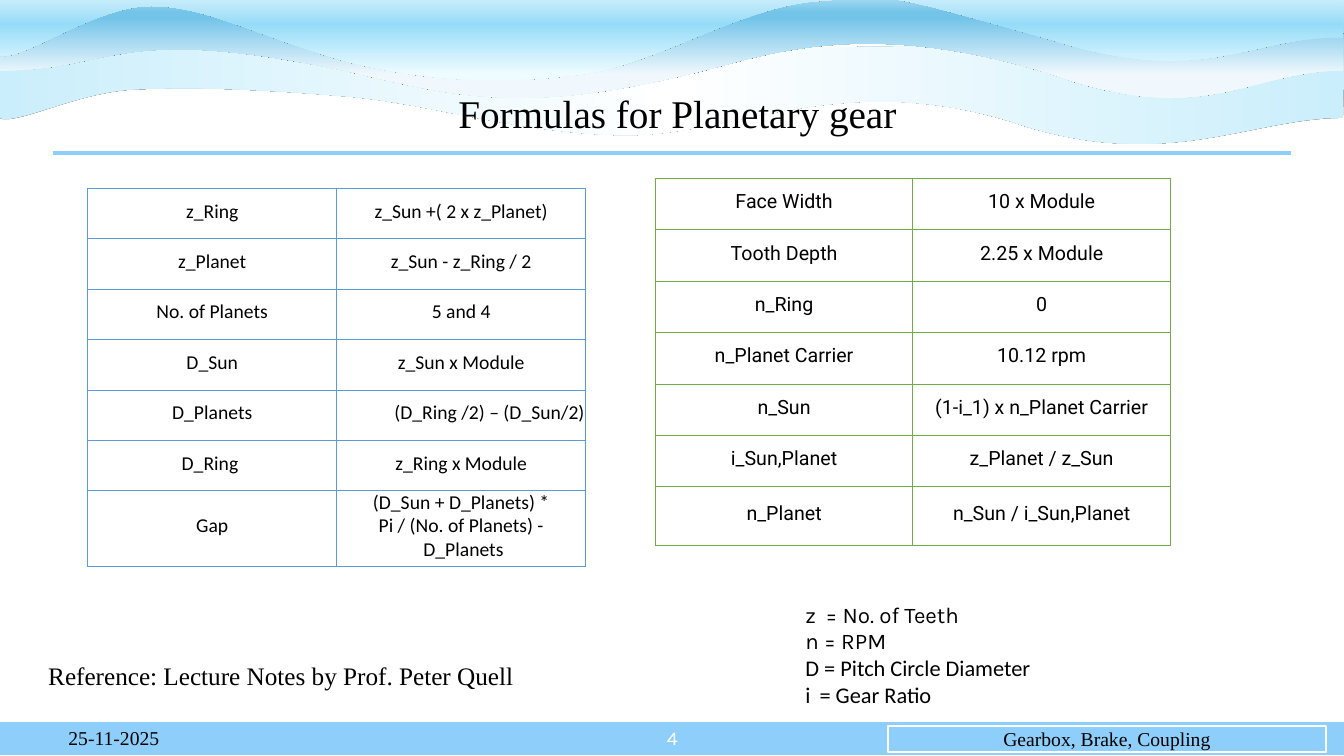
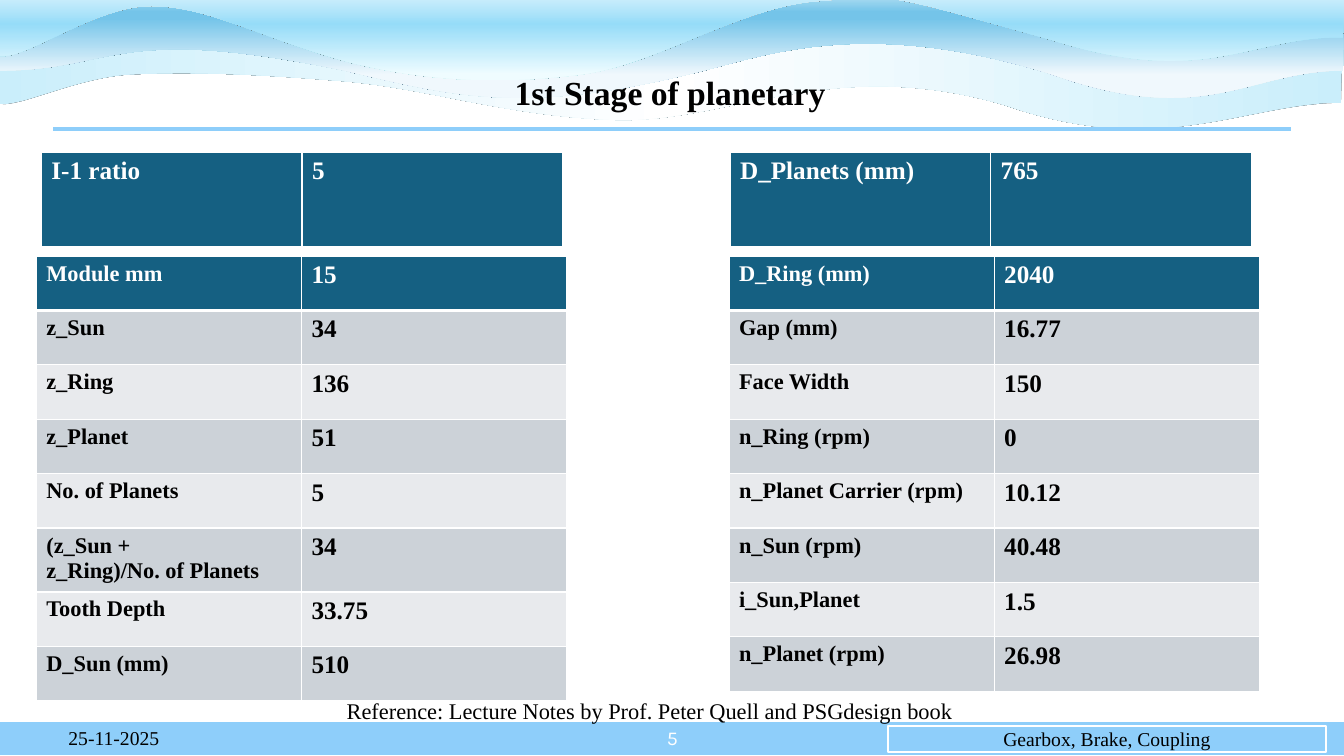
from lxml.etree import SubElement
from pptx import Presentation
from pptx.dml.color import RGBColor
from pptx.enum.shapes import MSO_CONNECTOR, MSO_SHAPE
from pptx.enum.text import MSO_ANCHOR, PP_ALIGN
from pptx.oxml import parse_xml
from pptx.oxml.ns import nsdecls, qn
from pptx.util import Inches, Pt

BLACK = RGBColor(0x00, 0x00, 0x00)
WHITE = RGBColor(0xFF, 0xFF, 0xFF)
SKY = RGBColor(0x8E, 0xCE, 0xFA)
TEAL = RGBColor(0x15, 0x60, 0x82)
BAND_DARK = RGBColor(0xCC, 0xD2, 0xD8)
BAND_LIGHT = RGBColor(0xE8, 0xEA, 0xED)
GRID_BLUE = RGBColor(0x5B, 0x9B, 0xD5)
GRID_GREEN = RGBColor(0x70, 0xAD, 0x47)
PALE_AQUA = RGBColor(0xCA, 0xEE, 0xFB)
AQUA = RGBColor(0x96, 0xDC, 0xF8)
FOAM = RGBColor(0xEF, 0xFC, 0xFF)
MIST = RGBColor(0xF0, 0xF8, 0xFD)
WATER = RGBColor(0x74, 0xC4, 0xE9)
SHALLOW = RGBColor(0xA2, 0xD8, 0xF0)

SERIF, SANS, NUMBERS, ROBOTO = "Times New Roman", "Calibri", "Karla", "Roboto"
NBSP = chr(160)  # keeps words of a formula on one line
RULE_LEFT, RULE_RIGHT = 0.53, 12.8

# Each wave: start point, Bézier segments along its lower edge, closing corners,
# gradient stops and gradient angle in degrees clockwise.
LOW_WAVE = (
    (13.32, 1.17),
    [(12.38, 1.17, 11.54, 1.73, 10.01, 1.2), (8.29, 0.68, 7.22, 1.38, 6.11, 1.34),
     (5.01, 1.3, 4.22, 1.01, 3.36, 0.95), (2.5, 0.88, 1.85, 0.86, 1.29, 0.89),
     (0.73, 0.93, 0.15, 1.25, -0.01, 1.17), (0, 0.94, -0.03, 0.67, -0.02, 0.45)],
    [(3.14, 0.45), (6.54, 0.48), (9.43, 0.46), (13.34, 0.48)],
    [(0, PALE_AQUA), (50, WHITE), (100, PALE_AQUA)], 0)
MIDDLE_WAVE = (
    (13.32, 0.7),
    [(12.39, 0.7, 11.96, 1.28, 10.44, 0.74), (8.71, 0.2, 7.73, 0.5, 7.06, 0.68),
     (5.28, 1.14, 4.59, 0.98, 3.46, 0.71), (1.13, 0.22, 1.15, 0.7, 0, 0.7),
     (0, 0.47, 0.01, 0.24, 0.01, 0)],
    [(3.13, 0.01), (6.54, -0.01), (9.46, 0), (13.33, 0.04)],
    [(0, SHALLOW), (17, WATER), (26, WATER), (100, MIST)], 90)
TOP_WAVE = (
    (13.32, 0.37),
    [(12.39, 0.36, 11.96, 0.88, 10.44, 0.4), (8.72, -0.08, 8.91, -0.05, 8.13, 0.01),
     (7.35, 0.06, 6.53, 0.64, 5.76, 0.74), (4.98, 0.84, 4.24, 0.81, 3.47, 0.62),
     (2.58, 0.38, 2.07, 0.06, 1.5, 0.06), (0.92, 0.06, 0.22, 0.63, -0.03, 0.55),
     (-0.02, 0.34, 0.01, -0.04, 0.01, -0.25)],
    [(3.13, -0.24), (6.54, -0.26), (9.46, -0.25), (13.33, -0.22)],
    [(0, WHITE), (50, AQUA), (100, FOAM)], 90)


def inches(box):
    return [Inches(length) for length in box]


def style(para, size, font=SERIF, colour=BLACK, bold=False, align=PP_ALIGN.LEFT):
    para.alignment = align
    para.font.size = Pt(size)
    para.font.name = font
    para.font.bold = bold
    para.font.color.rgb = colour


def add_text(page, box, text, size, anchor=MSO_ANCHOR.MIDDLE, **look):
    frame = page.shapes.add_textbox(*inches(box)).text_frame
    frame.word_wrap = True
    frame.vertical_anchor = anchor
    frame.text = text
    style(frame.paragraphs[0], size, **look)
    return frame.paragraphs[0]


def bend_edges(shape, segments):
    """Turn the first straight edges of a freeform into Bézier curves."""
    outline = shape._element.spPr.find(".//" + qn("a:path"))
    for edge, segment in zip(outline.findall(qn("a:lnTo")), segments):
        curve = SubElement(outline, qn("a:cubicBezTo"))
        for x, y in zip(segment[::2], segment[1::2]):
            SubElement(curve, qn("a:pt"), x=str(Inches(x) - shape.left),
                       y=str(Inches(y) - shape.top))
        outline.replace(edge, curve)


def add_wave(page, wave, shift=(0, 0)):
    start, segments, corners, stops, angle = wave
    points = [inches(point) for point in
              [start] + [segment[4:] for segment in segments] + corners]
    builder = page.shapes.build_freeform(*points[0], scale=1.0)
    builder.add_line_segments(points[1:], close=True)
    shape = builder.convert_to_shape()
    bend_edges(shape, segments)
    shape.left += Inches(shift[0])
    shape.top += Inches(shift[1])
    shape.line.fill.background()
    shape.shadow.inherit = False
    stop_xml = "".join(f'<a:gs pos="{place * 1000}"><a:srgbClr val="{colour}"/></a:gs>'
                       for place, colour in stops)
    gradient = parse_xml(f'<a:gradFill {nsdecls("a")}><a:gsLst>{stop_xml}</a:gsLst>'
                         f'<a:lin ang="{angle * 60000}" scaled="0"/></a:gradFill>')
    properties = shape._element.spPr
    properties.find(qn("a:custGeom")).addnext(gradient)
    shadow = SubElement(properties.find(qn("a:effectLst")), qn("a:outerShdw"),
                        blurRad="0", dist="0", dir="0")
    SubElement(shadow, qn("a:srgbClr"), val=str(BLACK))


def add_bar(page, box):
    bar = page.shapes.add_shape(MSO_SHAPE.RECTANGLE, *inches(box))
    bar.shadow.inherit = False
    bar.fill.solid()
    bar.fill.fore_color.rgb = SKY
    bar.line.color.rgb = WHITE
    bar.line.width = Pt(1.5)
    return bar


def add_footer(page, number):
    add_bar(page, (-0.01, 7.15, 13.35, 0.35))
    add_text(page, (6.42, 7.12, 0.5, 0.4), str(number), 14, font=NUMBERS,
             colour=WHITE, align=PP_ALIGN.CENTER)
    topic = add_bar(page, (8.81, 7.2, 4.34, 0.26)).text_frame
    topic.vertical_anchor = MSO_ANCHOR.MIDDLE
    topic.text = NBSP.join(["Gearbox,", "Brake,", "Coupling"])
    style(topic.paragraphs[0], 14, align=PP_ALIGN.CENTER)
    add_text(page, (0.38, 7.12, 1.5, 0.4), "25-11-2025", 14, align=PP_ALIGN.CENTER)


def add_title(page, box, text, rule_top, size, bold):
    """Centred title above a full-width rule."""
    para = add_text(page, box, text, size, bold=bold, align=PP_ALIGN.CENTER)
    para.line_spacing = 0.9
    rule = page.shapes.add_connector(MSO_CONNECTOR.STRAIGHT, *inches(
        (RULE_LEFT, rule_top, RULE_RIGHT, rule_top)))
    rule.line.color.rgb = SKY
    rule.line.width = Pt(3)
    SubElement(rule._element.spPr, qn("a:effectLst"))


def start_page(deck, title_box, title, rule_top, size, bold=False, low_shift=(0, 0)):
    page = deck.slides.add_slide(deck.slide_layouts[6])
    add_wave(page, LOW_WAVE, low_shift)
    add_wave(page, MIDDLE_WAVE)
    add_wave(page, TOP_WAVE)
    add_footer(page, len(deck.slides) + 3)
    add_title(page, title_box, title, rule_top, size, bold)
    return page


def set_borders(cell, colour, left=1, right=1, top=1, bottom=1):
    properties = cell._tc.get_or_add_tcPr()
    for side, width in zip("LRTB", (left, right, top, bottom)):
        line = SubElement(properties, qn(f"a:ln{side}"), w=str(Pt(width)))
        fill = SubElement(line, qn("a:solidFill"))
        SubElement(fill, qn("a:srgbClr"), val=str(colour))


def add_grid(page, box, rows):
    """Plain two-column table with even rows."""
    table = page.shapes.add_table(len(rows), 2, *inches(box)).table
    table.first_row = table.horz_banding = False
    for row, texts in enumerate(rows):
        for column, text in enumerate(texts):
            table.cell(row, column).text = text
    return table


def formula_table(page, box, rows, row_height, colour, font):
    table = add_grid(page, box, rows)
    last = len(rows) - 1
    for row in range(last):
        table.rows[row].height = Inches(row_height)
    table.rows[last].height = Inches(box[3] - last * row_height)
    for cell in table.iter_cells():
        set_borders(cell, colour, 0.75, 0.75, 0.75, 0.75)
        cell.fill.background()
        cell.vertical_anchor = MSO_ANCHOR.MIDDLE
        cell.margin_left = cell.margin_right = cell.margin_top = Inches(0.01)
        cell.margin_bottom = Inches(0.05)
        para = cell.text_frame.paragraphs[0]
        style(para, 14, font=font, align=PP_ALIGN.CENTER)
        para.line_spacing = Pt(16.5)
    return table


def value_table(page, box, rows, label_size=16):
    """Bold table with a dark first row and banded rows below it."""
    table = add_grid(page, box, rows)
    for row in range(len(rows)):
        head = row == 0
        fill = TEAL if head else (BAND_LIGHT, BAND_DARK)[row % 2]
        for column, size in enumerate((label_size, 18)):
            cell = table.cell(row, column)
            set_borders(cell, WHITE, top=3 if row == 1 else 1, bottom=3 if head else 1)
            cell.fill.solid()
            cell.fill.fore_color.rgb = fill
            style(cell.text_frame.paragraphs[0], size, bold=True,
                  colour=WHITE if head else BLACK)


def add_legend(page, box):
    """Symbols and meanings; narrow symbols are followed by a tab stop."""
    entries = [("z\t= No. of Teeth", NUMBERS, 0.2), ("n = RPM", NUMBERS, None),
               ("D = Pitch Circle Diameter", SANS, None), ("i\t= Gear Ratio", SANS, 0.14)]
    frame = page.shapes.add_textbox(*inches(box)).text_frame
    frame.word_wrap = True
    for index, (text, font, stop) in enumerate(entries):
        para = frame.add_paragraph() if index else frame.paragraphs[0]
        para.add_run().text = text
        if stop:
            tabs = SubElement(para._p.get_or_add_pPr(), qn("a:tabLst"))
            SubElement(tabs, qn("a:tab"), pos=str(Inches(stop)), algn="l")
        style(para, 16, font=font)


def formulas_slide(deck):
    page = start_page(deck, (0.92, 0.76, 11.5, 0.78), " Formulas for Planetary gear", 1.52, 28)
    add_legend(page, (7.89, 5.91, 3.36, 1.18))
    add_text(page, (0.38, 6.5, 7.49, 0.4),
             "Reference: Lecture Notes by Prof. Peter Quell", 18, anchor=MSO_ANCHOR.TOP)
    gap = (f"(D_Sun{NBSP}+{NBSP}D_Planets) * Pi /{NBSP}(No.{NBSP}of Planets)"
           f" -{NBSP}D_Planets")
    sizes = formula_table(page, (0.87, 1.87, 4.94, 3.53), [
        ("z_Ring", "z_Sun +( 2 x z_Planet)"),
        ("z_Planet", "z_Sun - z_Ring / 2"),
        ("No. of Planets", "5 and 4"),
        ("D_Sun", "z_Sun x Module"),
        ("D_Planets", "(D_Ring /2) – (D_Sun/2)"),
        (f"D_Ring{NBSP}", "z_Ring x Module"),
        ("Gap", gap),
    ], 0.5, GRID_BLUE, SANS)
    sizes.cell(4, 1).text_frame.paragraphs[0].alignment = PP_ALIGN.RIGHT
    formula_table(page, (6.5, 1.77, 5.11, 3.64), [
        ("Face Width", "10 x Module"),
        ("Tooth Depth", "2.25 x Module"),
        ("n_Ring", "0"),
        ("n_Planet Carrier", "10.12 rpm"),
        ("n_Sun", "(1-i_1) x n_Planet Carrier"),
        ("i_Sun,Planet", "z_Planet / z_Sun"),
        ("n_Planet", "n_Sun / i_Sun,Planet"),
    ], 0.51, GRID_GREEN, ROBOTO)


def first_stage_slide(deck):
    page = start_page(deck, (0.53, 0.55, 12.23, 0.78), "1st Stage of planetary", 1.28, 24,
                      bold=True, low_shift=(-0.02, -0.15))
    value_table(page, (0.36, 2.54, 5.26, 4.32), [
        ("Module mm", "15"), ("z_Sun", "34"), ("z_Ring", "136"), ("z_Planet", "51"),
        ("No. of Planets", "5"), (f"(z_Sun + z_Ring)/No.{NBSP}of{NBSP}Planets", "34"),
        ("Tooth Depth", "33.75"), ("D_Sun (mm)", "510")])
    value_table(page, (0.41, 1.51, 5.17, 0.95), [("I-1 ratio", "5")], label_size=18)
    add_text(page, (3.34, 6.87, 7.49, 0.37),
             "Reference: Lecture Notes by Prof. Peter Quell and PSGdesign book", 16,
             anchor=MSO_ANCHOR.TOP)
    value_table(page, (7.24, 1.51, 5.17, 0.95), [("D_Planets (mm)", "765")], label_size=18)
    value_table(page, (7.23, 2.54, 5.26, 4.32), [
        ("D_Ring (mm)", "2040"), ("Gap (mm)", "16.77"), ("Face Width", "150"),
        ("n_Ring (rpm)", "0"), ("n_Planet Carrier (rpm)", "10.12"),
        ("n_Sun (rpm)", "40.48"), ("i_Sun,Planet", "1.5"), ("n_Planet (rpm)", "26.98")])


def main():
    deck = Presentation()
    deck.slide_width, deck.slide_height = Inches(13.33), Inches(7.5)
    formulas_slide(deck)
    first_stage_slide(deck)
    deck.save("out.pptx")


if __name__ == "__main__":
    main()
